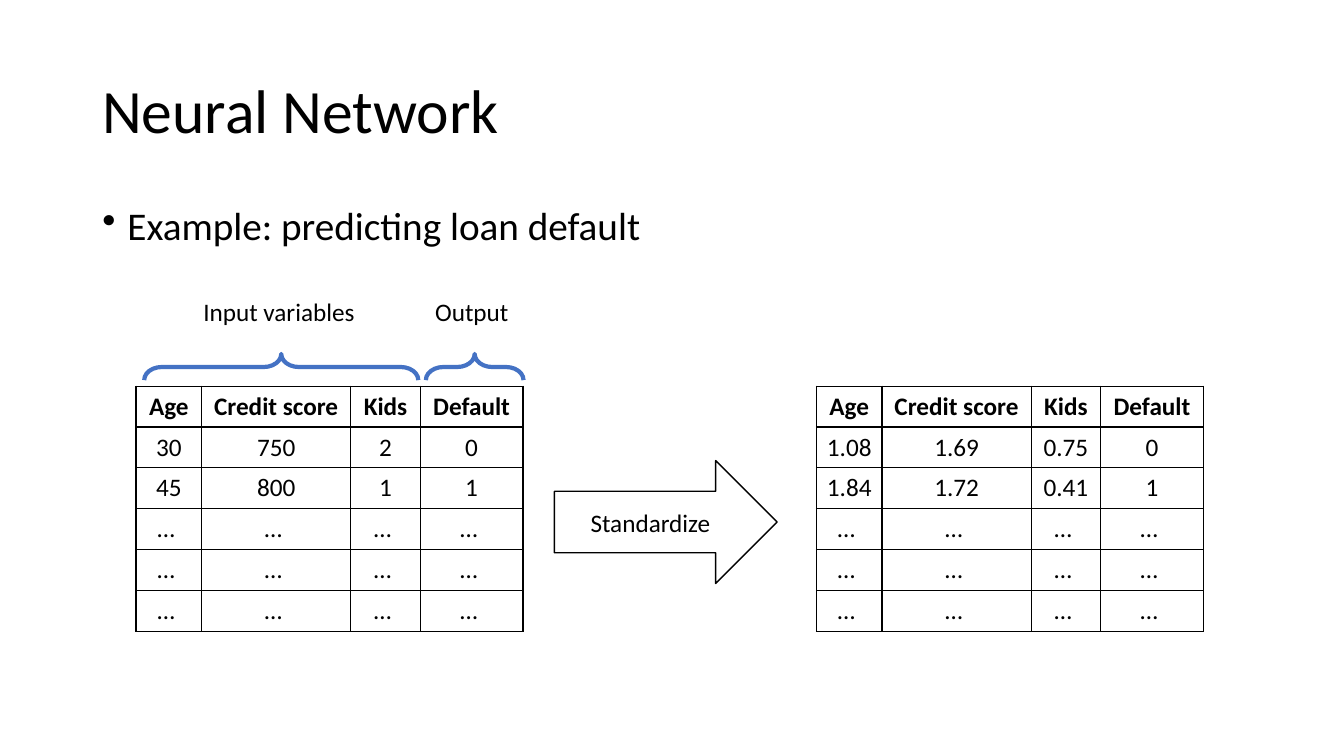
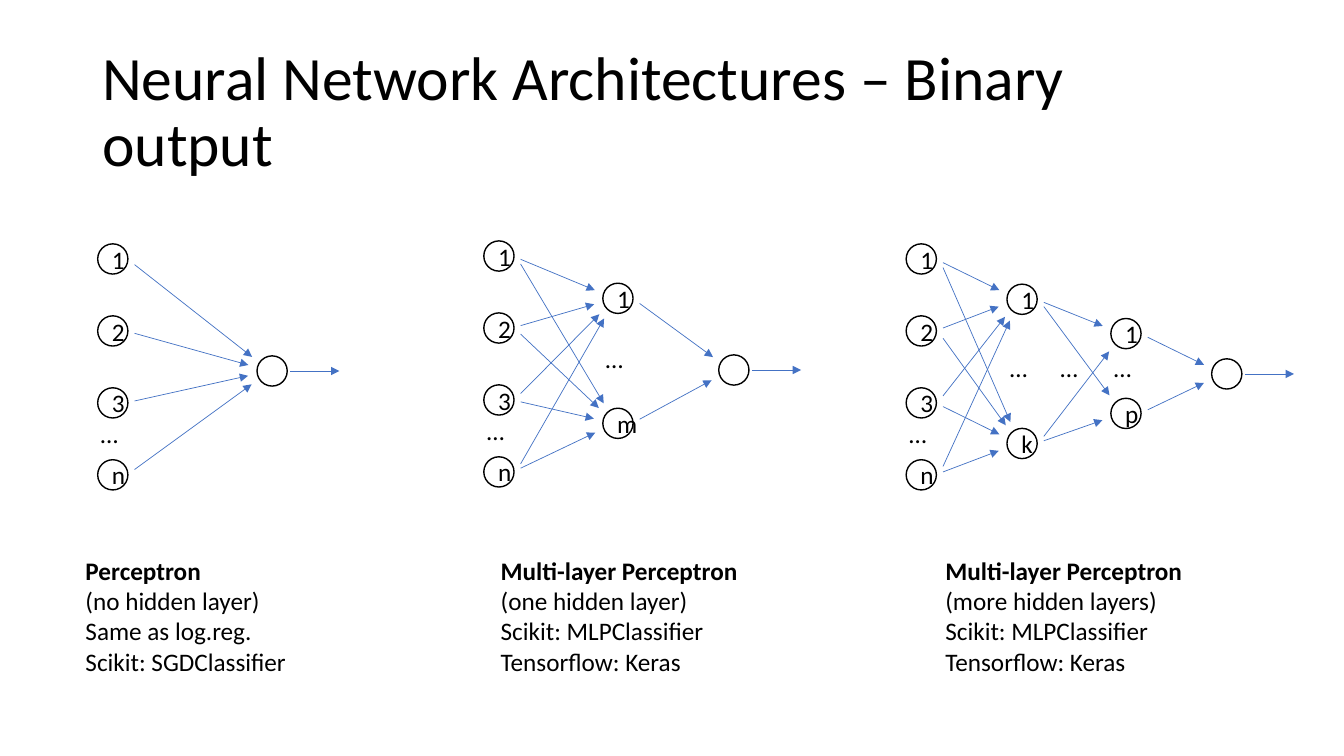
import dataclasses
import itertools
import math

import lxml.etree
import pptx
import pptx.dml.color
import pptx.enum.shapes
import pptx.enum.text
import pptx.oxml.ns
import pptx.util

Pt = pptx.util.Pt
Shape = pptx.enum.shapes.MSO_SHAPE
Align = pptx.enum.text.PP_ALIGN
Anchor = pptx.enum.text.MSO_ANCHOR
qn = pptx.oxml.ns.qn


@dataclasses.dataclass(frozen=True)
class Theme:
    font: str = "Calibri"
    ink: str = "000000"
    paper: str = "FFFFFF"
    accent: str = "4472C4"
    title: int = 44
    body: int = 28
    label: int = 18
    outline: float = 1
    edge: float = 0.5
    brace: float = 3


@dataclasses.dataclass(frozen=True)
class Layer:
    """A column of neurons; lengths are relative to the network's corner."""
    left: float
    top: float
    labels: tuple
    step: float = 0
    dots: float = None


THEME = Theme()
NEURON = 21.6
DOTS = "…"


def color(code):
    return pptx.dml.color.RGBColor.from_string(code)


# Shared text and line helpers
def write(frame, lines, size=THEME.label, align=None, bold_first=False):
    frame.word_wrap = True
    for index, line in enumerate(lines):
        para = frame.paragraphs[0] if index == 0 else frame.add_paragraph()
        para.text = line
        para.alignment = align
        para.font.name = THEME.font
        para.font.size = Pt(size)
        para.font.bold = bold_first and index == 0
        para.font.color.rgb = color(THEME.ink)
    return frame.paragraphs[0]


def add_text(shapes, left, top, width, height, lines, **style):
    box = shapes.add_textbox(Pt(left), Pt(top), Pt(width), Pt(height))
    write(box.text_frame, lines, **style)
    return box


def add_outlined(shapes, kind, left, top, width, height, label):
    shape = shapes.add_shape(kind, Pt(left), Pt(top), Pt(width), Pt(height))
    shape.shadow.inherit = False
    shape.fill.solid()
    shape.fill.fore_color.rgb = color(THEME.paper)
    shape.line.color.rgb = color(THEME.ink)
    shape.line.width = Pt(THEME.outline)
    if label:
        write(shape.text_frame, [label], align=Align.CENTER)


def add_arrow(shapes, start, end):
    arrow = shapes.add_connector(pptx.enum.shapes.MSO_CONNECTOR.STRAIGHT,
                                 *(Pt(value) for value in (*start, *end)))
    arrow.line.color.rgb = color(THEME.accent)
    arrow.line.width = Pt(THEME.edge)
    properties = arrow.element.spPr
    lxml.etree.SubElement(properties.find(qn("a:ln")), qn("a:tailEnd"), type="triangle")
    lxml.etree.SubElement(properties, qn("a:effectLst"))


def add_page(deck, title):
    page = deck.slides.add_slide(deck.slide_layouts[6])
    box = add_text(page.shapes, 66, 28.8, 828, 104.4, [title], size=THEME.title)
    box.text_frame.vertical_anchor = Anchor.MIDDLE
    box.text_frame.paragraphs[0].line_spacing = 0.9
    return page


# Parts of the example slide
def add_bullet(page, left, top, width, height, text):
    box = add_text(page.shapes, left, top, width, height, [text], size=THEME.body)
    para = box.text_frame.paragraphs[0]
    para.line_spacing = 0.9
    para.space_before = Pt(10)
    properties = para._p.get_or_add_pPr()
    properties.set("marL", str(Pt(18)))
    properties.set("indent", str(-Pt(18)))
    bullet = lxml.etree.Element(qn("a:buChar"), char="•")
    properties.find(qn("a:defRPr")).addprevious(bullet)


def add_cell_borders(cell):
    properties = cell._tc.get_or_add_tcPr()
    for side in ("a:lnL", "a:lnR", "a:lnT", "a:lnB"):
        line = lxml.etree.SubElement(properties, qn(side), w=str(Pt(THEME.outline)))
        fill = lxml.etree.SubElement(line, qn("a:solidFill"))
        lxml.etree.SubElement(fill, qn("a:srgbClr"), val=THEME.ink)


def add_loan_table(page, left, top, records):
    widths = (46.8, 106.6, 49.6, 73.4)
    row_height = 29.2
    rows = [("Age", "Credit score", "Kids", "Default"), *records]
    rows += [(DOTS + " ",) * len(widths)] * 3
    table = page.shapes.add_table(len(rows), len(widths), Pt(left), Pt(top),
                                  Pt(sum(widths)), Pt(row_height * len(rows))).table
    table.first_row = table.horz_banding = False
    for column, width in zip(table.columns, widths):
        column.width = Pt(width)
    for index, values in enumerate(rows):
        table.rows[index].height = Pt(row_height)
        for cell, value in zip(table.rows[index].cells, values):
            write(cell.text_frame, [value], align=Align.CENTER, bold_first=index == 0)
            add_cell_borders(cell)
            cell.fill.background()


def add_top_brace(page, left, top, width):
    depth = 18.7
    brace = page.shapes.add_shape(
        Shape.RIGHT_BRACE, Pt(left + (width - depth) / 2),
        Pt(top + (depth - width) / 2), Pt(depth), Pt(width))
    brace.rotation = 270
    brace.adjustments[0] = 0.67
    brace.shadow.inherit = False
    brace.fill.background()
    brace.line.color.rgb = color(THEME.accent)
    brace.line.width = Pt(THEME.brace)


def build_example(deck):
    page = add_page(deck, "Neural Network")
    add_bullet(page, 66, 144, 828, 342.7, "Example: predicting loan default")
    table_top = 275.8
    add_loan_table(page, 97.2, table_top, [("30", "750", "2", "0"), ("45", "800", "1", "1")])
    add_loan_table(page, 583.2, table_top,
                   [("1.08", "1.69", "0.75", "0"), ("1.84", "1.72", "0.41", "1")])
    for left, width, label_left, label in ((103, 195.8, 138.2, "Input variables"),
                                           (304.2, 69.8, 303.8, "Output")):
        add_top_brace(page, left, table_top - 23, width)
        add_text(page.shapes, label_left, table_top - 68, 130, 29, [label])
    add_outlined(page.shapes, Shape.RIGHT_ARROW, 396, 329, 159.1, 87.8, "Standardize")


# Parts of the architecture slide
def add_dots(shapes, left, top):
    add_text(shapes, left, top, 29.5, 29, [DOTS])


def add_layer(shapes, left, top, layer):
    """Draws the neurons and returns their centres."""
    centres = []
    for index, label in enumerate(layer.labels):
        x, y = left + layer.left, top + layer.top + index * layer.step
        add_outlined(shapes, Shape.OVAL, x, y, NEURON, NEURON, label)
        centres.append((x + NEURON / 2, y + NEURON / 2))
    if layer.dots is not None:
        add_dots(shapes, left + layer.left - 5, top + layer.dots)
    return centres


def add_edge(shapes, source, target):
    """Leaves the right of one neuron and stops just short of the next."""
    angle = math.atan2(target[1] - source[1], target[0] - source[0])
    start = source[0] + 15.5, source[1] + 7 * math.sin(angle)
    end = target[0] - 17.5 * math.cos(angle), target[1] - 17.5 * math.sin(angle)
    add_arrow(shapes, start, end)


def add_network(page, left, top, layers):
    shapes = page.shapes.add_group_shape().shapes
    inputs = Layer(0, 0, ("1", "2", "3", "n"), step=51.4, dots=121)
    centres = [add_layer(shapes, left, top, layer) for layer in (inputs, *layers)]
    for sources, targets in itertools.pairwise(centres):
        for source, target in itertools.product(sources, targets):
            add_edge(shapes, source, target)
    x, y = centres[-1][0]
    add_arrow(shapes, (x + 13, y), (x + 48, y))
    # Dots between neighbouring hidden layers
    hidden = layers[:-1]
    for first, second in itertools.pairwise(hidden):
        add_dots(shapes, left + (first.left + second.left) / 2 - 6, top + first.dots)


def build_architectures(deck):
    page = add_page(deck, "Neural Network Architectures – Binary output")
    output = ("",)
    add_network(page, 69.8, 174.2, [Layer(113.8, 80, output)])
    add_network(page, 345.6, 172.1, [
        Layer(85, 30.2, ("1", "m"), step=89.3, dots=69.8),
        Layer(167.8, 81.4, output)])
    add_network(page, 647.3, 174.2, [
        Layer(72, 28.8, ("1", "k"), step=103, dots=74),
        Layer(146.2, 53.3, ("1", "p"), step=57, dots=74),
        Layer(218.2, 82.1, output)])

    multi, keras = "Multi-layer Perceptron", ("Scikit: MLPClassifier", "Tensorflow: Keras")
    captions = (
        (54, ("Perceptron", "(no hidden layer)", "Same as log.reg.", "Scikit: SGDClassifier")),
        (350.6, (multi, "(one hidden layer)", *keras)),
        (668.2, (multi, "(more hidden layers)", *keras)))
    for left, lines in captions:
        add_text(page.shapes, left, 393.1, 211, 94.3, lines, bold_first=True)


deck = pptx.Presentation()
deck.slide_width, deck.slide_height = Pt(960), Pt(540)
build_example(deck)
build_architectures(deck)
deck.save("out.pptx")
